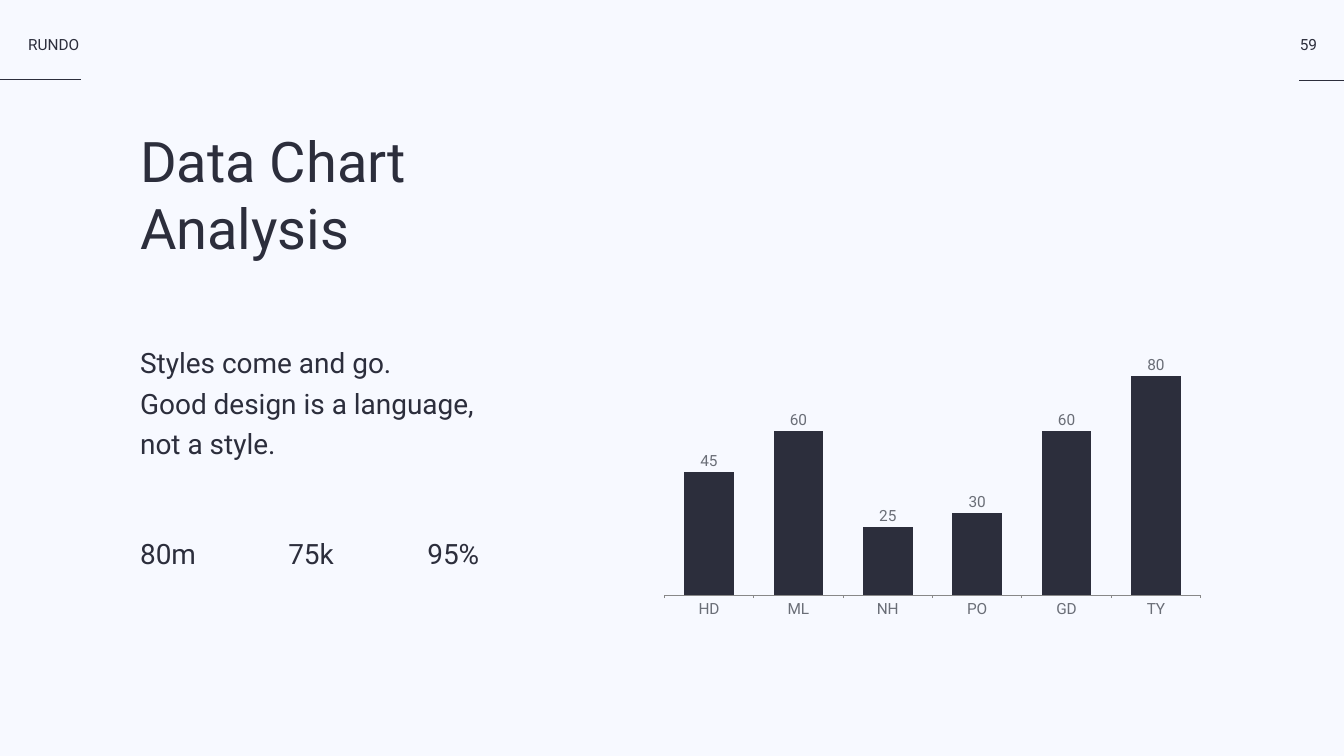
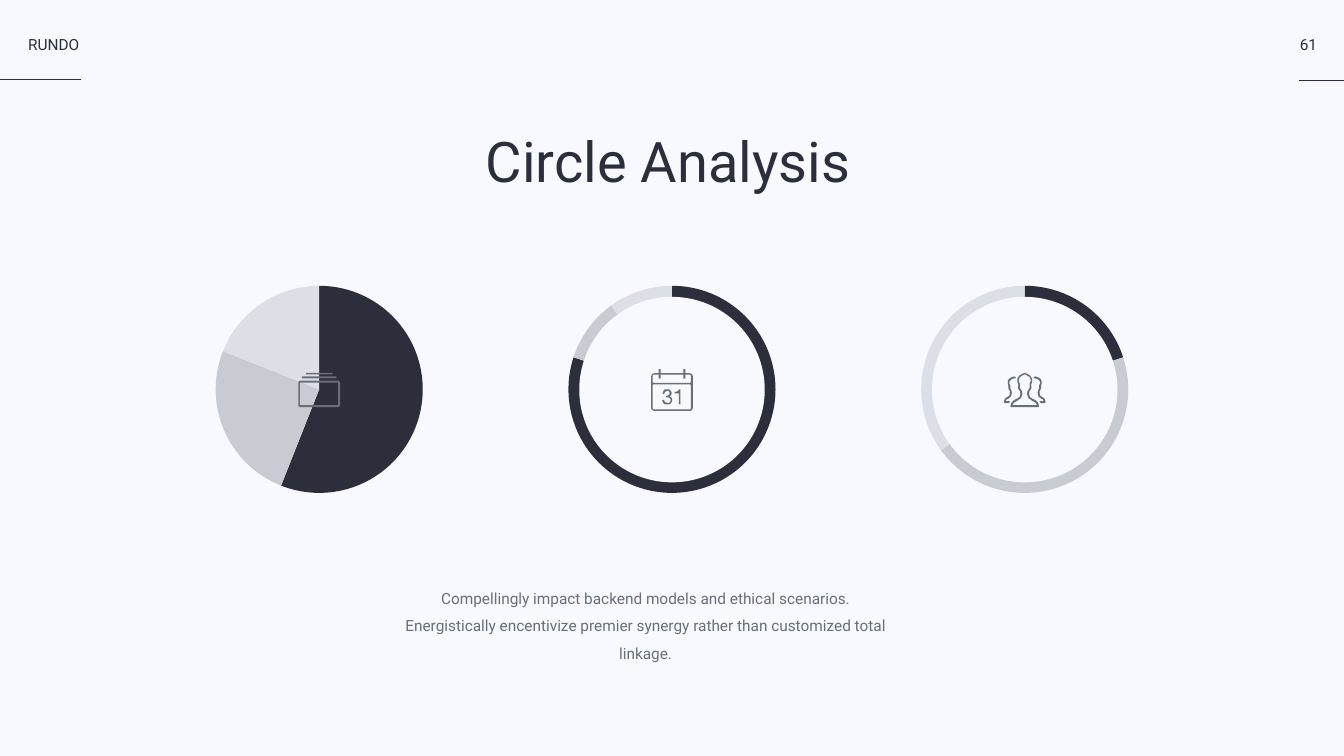
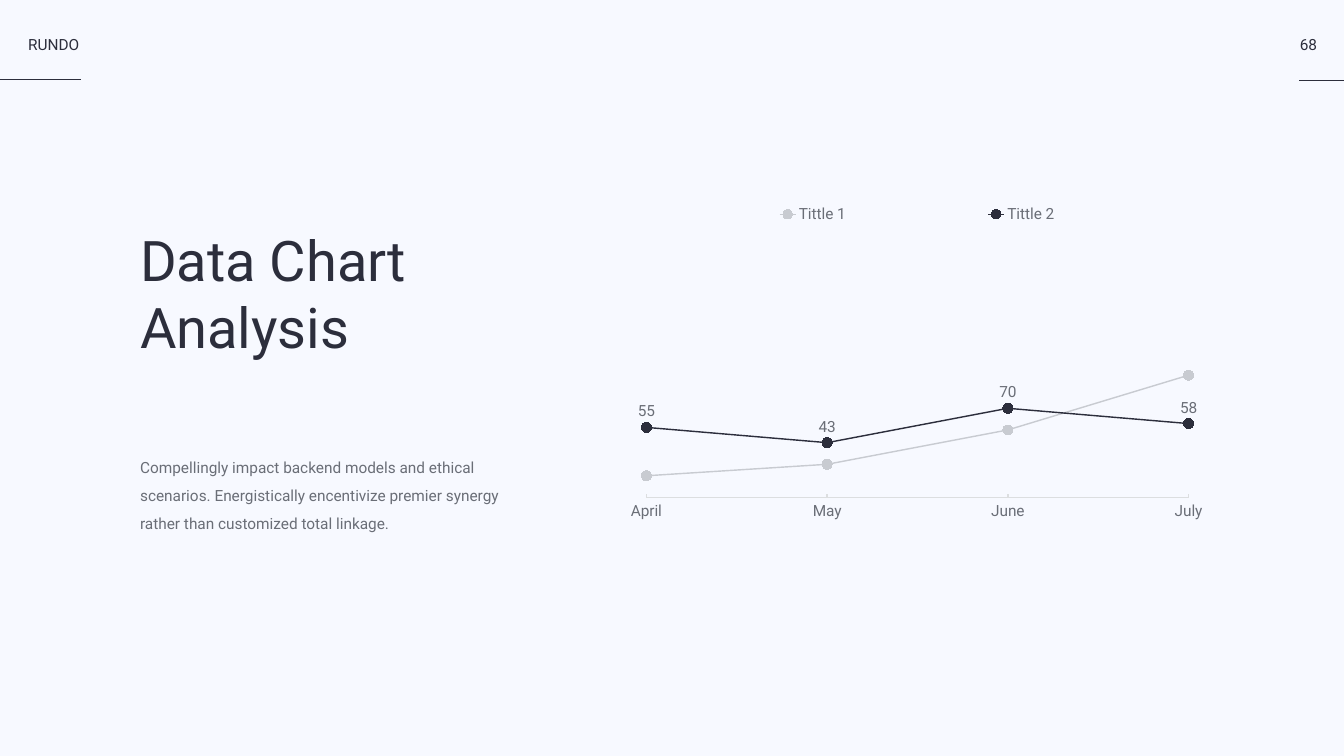
import math
from dataclasses import dataclass
from lxml import etree
from pptx import Presentation
from pptx.chart.data import CategoryChartData
from pptx.dml.color import RGBColor
from pptx.enum.chart import (XL_CHART_TYPE, XL_LABEL_POSITION, XL_LEGEND_POSITION,
                             XL_MARKER_STYLE, XL_TICK_LABEL_POSITION, XL_TICK_MARK)
from pptx.enum.shapes import MSO_CONNECTOR, MSO_SHAPE
from pptx.enum.text import MSO_ANCHOR, MSO_AUTO_SIZE, PP_ALIGN
from pptx.oxml.ns import qn
from pptx.util import Inches, Pt

BAR, LINE, PIE = (XL_CHART_TYPE.COLUMN_CLUSTERED, XL_CHART_TYPE.LINE_MARKERS,
                  XL_CHART_TYPE.PIE)
LEFT, MID = PP_ALIGN.LEFT, PP_ALIGN.CENTER
LOW, BARE = XL_TICK_LABEL_POSITION.LOW, XL_TICK_LABEL_POSITION.NONE
TICK = XL_TICK_MARK
ABOVE, OUTER = XL_LABEL_POSITION.ABOVE, XL_LABEL_POSITION.OUTSIDE_END


@dataclass(frozen=True)
class Theme:
    back: str = "F7F9FF"
    dark: str = "2C2E3C"
    text: str = "6A6E77"
    mid: str = "C8CBD1"
    pale: str = "DCE0E6"
    rule: str = "DCDEE0"
    axis: str = "888888"
    font: str = "Roboto"
    title: int = 80
    lead: int = 40
    small: int = 22
    stroke: int = 2


T = Theme()

# Slide size and shared grid, in inches
WIDE, HIGH = 26.67, 15
EDGE, HEAD = 2.78, 2.51
PAGE_X, LABEL_Y = 25.78, 0.69

BRAND = "RUNDO"
RULES = [(0, 1.61, 1.58), (PAGE_X, WIDE, 1.6)]

BARS = {
    "page": "59",
    "title": ["Data Chart", "Analysis"],
    "body": ["Styles come and go.", "Good design is a language,", "not a style."],
    "stats": [("80m", 1.13), ("75k", 0.95), ("95%", 1.06)],
    "cats": ["HD", "ML", "NH", "PO", "GD", "TY"],
    "series": [("Series 1", [45, 60, 25, 30, 60, 80])],
}
RINGS = {
    "page": "61",
    "title": ["Circle Analysis"],
    "body": ["Compellingly impact backend models and ethical scenarios.",
             "Energistically encentivize premier synergy rather than "
             "customized total linkage."],
    "pies": [([56, 25, 19], "cards", False), ([80, 10, 10], "date", True),
             ([20, 45, 35], "team", True)],
}
TREND = {
    "page": "68",
    "title": ["Data Chart", "Analysis"],
    "body": ["Compellingly impact backend models and ethical",
             "scenarios. Energistically encentivize premier synergy",
             "rather than customized total linkage."],
    "cats": ["April", "May", "June", "July"],
    "series": [("Tittle 1", [17, 26, 53, 96]), ("Tittle 2", [55, 43, 70, 58])],
}


def box(x, y, w, h, r=0.5):
    """Outline of a rectangle with rounded corners."""
    hubs = [(x + w - r, y + h - r), (x + r, y + h - r), (x + r, y + r), (x + w - r, y + r)]
    return [(cx + r * math.cos(a), cy + r * math.sin(a))
            for turn, (cx, cy) in enumerate(hubs)
            for a in (math.radians(90 * turn + step) for step in (0, 30, 60, 90))]


def flip(points):
    return [(ICON_W - x, y) for x, y in reversed(points)]


# Icon outlines, in hundredths of an inch
ICON_W = 83
THREE = [(37, 66), (35, 67), (32, 67), (27, 65), (26, 61), (22, 61), (23, 65), (25, 68),
         (28, 70), (32, 70), (36, 70), (39, 68), (41, 65), (42, 61), (41, 57), (37, 54),
         (40, 51), (41, 48), (40, 44), (38, 42), (36, 40), (32, 40), (28, 40), (25, 42),
         (24, 45), (23, 49), (26, 49), (27, 46), (29, 44), (32, 43), (36, 44), (37, 48),
         (36, 51), (34, 52), (30, 53), (30, 56), (35, 56), (37, 57), (39, 61), (38, 64)]
ONE = [(55, 70), (58, 70), (58, 40), (56, 40), (54, 42), (52, 44), (50, 45), (47, 45),
       (47, 48), (55, 48)]
HALF_OUT = [(41, 0), (36, 2), (31, 5), (27, 11), (27, 18), (29, 24), (28, 29), (29, 32),
            (32, 36), (33, 42), (31, 48), (26, 51), (20, 54), (15, 59), (13, 66), (15, 68)]
HALF_IN = [(41, 3), (37, 5), (32, 8), (30, 12), (30, 17), (32, 22), (32, 30), (36, 36),
           (37, 42), (34, 50), (27, 55), (20, 59), (17, 64)]
SIDE = [(9, 51), (14, 47), (16, 40), (15, 34), (13, 31), (13, 25), (11, 21), (11, 17),
        (16, 12), (20, 11), (23, 11), (24, 8), (20, 7), (14, 9), (10, 12), (8, 16),
        (8, 21), (9, 26), (9, 31), (12, 36), (12, 40), (11, 45), (8, 47), (2, 51),
        (0, 58), (2, 60), (10, 60), (12, 56), (4, 56), (5, 53)]
ICONS = {
    "cards": (68, [box(0, 15, 83, 53, 4), box(3, 19, 76, 45), box(7, 7, 69, 4, 2),
                   box(15, 0, 53, 3, 1.5)]),
    "date": (83, [box(0, 8, 83, 75, 7), box(3, 11, 76, 16, 3), box(3, 30, 76, 50, 3),
                  *(box(x, y, 4, 8, 1) for x in (15, 64) for y in (0, 11)), THREE, ONE]),
    "team": (68, [HALF_OUT + flip(HALF_OUT), HALF_IN + flip(HALF_IN), SIDE, flip(SIDE)]),
}


def put(item, values):
    for name, value in values.items():
        setattr(item, name, value)


def rgb(code):
    return RGBColor.from_string(code)


def paint(fill, code):
    fill.solid()
    fill.fore_color.rgb = rgb(code)


def style(font, size, code):
    put(font, {"size": Pt(size), "name": T.font})
    font.color.rgb = rgb(code)


def place(shape, at):
    put(shape, dict(zip(("left", "top", "width", "height"), map(Inches, at))))


def write(shape, lines, size, code, align=LEFT, gap=1.0):
    frame = shape.text_frame
    put(frame, {"margin_left": 0, "margin_top": 0, "margin_right": 0, "margin_bottom": 0,
                "word_wrap": False, "auto_size": MSO_AUTO_SIZE.SHAPE_TO_FIT_TEXT,
                "vertical_anchor": MSO_ANCHOR.TOP})
    for i, line in enumerate(lines):
        para = frame.add_paragraph() if i else frame.paragraphs[0]
        put(para, {"alignment": align, "line_spacing": gap, "space_before": Pt(0)})
        if shape.is_placeholder:
            props = para._p.get_or_add_pPr()
            props.set("marL", "0")
            props.set("indent", "0")
            etree.SubElement(props, qn("a:buNone"))
        run = para.add_run()
        run.text = line
        style(run.font, size, code)


def label(slide, at, line, size, align=LEFT, gap=1.0):
    shape = slide.shapes.add_textbox(*map(Inches, at))
    write(shape, [line], size, T.dark, align, gap)
    return shape


def rule(slide, x1, x2, y):
    line = slide.shapes.add_connector(MSO_CONNECTOR.STRAIGHT,
                                      *map(Inches, (x1, y, x2, y)))
    line.line.color.rgb = rgb(T.dark)
    line.line.width = Pt(T.stroke)
    etree.SubElement(line._element.spPr, qn("a:effectLst"))
    return line


def brand(deck, slide):
    """Give the master its background, rules and brand label."""
    master = deck.slide_master
    paint(master.background.fill, T.back)
    parts = [rule(slide, *ends) for ends in RULES]
    parts.append(label(slide, (0.56, LABEL_Y, 1.05, 0.4), BRAND, T.small))
    for part in parts:
        master.shapes._spTree.append(part._element)


def start(deck, data, title_at, body_at, size, code, align=LEFT, gap=1.5):
    slide = deck.slides.add_slide(deck.slide_layouts[1])
    title, body = slide.placeholders
    place(title, title_at)
    write(title, data["title"], T.title, T.dark, align)
    place(body, body_at)
    write(body, data["body"], size, code, align, gap)
    label(slide, (PAGE_X, LABEL_Y, 0.37, 0.4), data["page"], T.small, MID)
    return slide


def layout(parent, index, shares, inner=False):
    """Fix a plot or legend area as shares of its chart."""
    for old in parent.findall(qn("c:layout")):
        parent.remove(old)
    area = etree.Element(qn("c:layout"))
    spot = etree.SubElement(area, qn("c:manualLayout"))
    tags = [("layoutTarget", "inner")] if inner else []
    tags += [("xMode", "edge"), ("yMode", "edge"), *zip("xywh", map(str, shares))]
    for tag, value in tags:
        etree.SubElement(spot, qn("c:" + tag)).set("val", value)
    parent.insert(index, area)


def add_chart(slide, kind, at, cats, series, plot):
    data = CategoryChartData()
    data.categories = cats
    for name, values in series:
        data.add_series(name, values)
    chart = slide.shapes.add_chart(kind, *map(Inches, at), data).chart
    put(chart, {"has_title": False, "has_legend": False})
    put(chart.font, {"size": Pt(10), "name": "Arial"})
    layout(chart._chartSpace.chart.plotArea, 0, plot, True)
    chart.plots[0].vary_by_categories = kind == PIE
    return chart


def axes(chart, tick, code, width, top, step):
    cat, val = chart.category_axis, chart.value_axis
    put(cat, {"tick_label_position": LOW, "major_tick_mark": tick,
              "minor_tick_mark": TICK.NONE, "has_major_gridlines": False})
    style(cat.tick_labels.font, T.small, T.text)
    cat.format.line.color.rgb = rgb(code)
    cat.format.line.width = Pt(width)
    put(val, {"tick_label_position": BARE, "major_tick_mark": TICK.NONE,
              "minor_tick_mark": TICK.NONE, "has_major_gridlines": False,
              "minimum_scale": 0, "maximum_scale": top, "major_unit": step})
    val.format.line.fill.background()


def tag_values(series, spot, code):
    labels = series.data_labels
    put(labels, {"show_value": True, "position": spot, "number_format": code,
                 "number_format_is_linked": False})
    style(labels.font, T.small, T.text)


def draw_icon(slide, name, x, y):
    """Draw an icon centred on x, y."""
    high, paths = ICONS[name]
    pen = slide.shapes.build_freeform(*paths[0][0], scale=Inches(0.01))
    for i, points in enumerate(paths):
        if i:
            pen.move_to(*points[0])
        pen.add_line_segments(points[1:], close=True)
    shape = pen.convert_to_shape(Inches(x - ICON_W / 200), Inches(y - high / 200))
    flat(shape, T.text)


def flat(shape, code):
    shape.shadow.inherit = False
    paint(shape.fill, code)
    shape.line.fill.background()


def bar_slide(deck):
    slide = start(deck, BARS, (EDGE, HEAD, 5.63, 2.94), (EDGE, 6.73, 6.68, 2.5),
                  T.lead, T.dark, gap=1.2)
    chart = add_chart(slide, BAR, (13.03, 5.96, 10.85, 6.55), BARS["cats"],
                      BARS["series"], (0.014, 0.065, 0.981, 0.828))
    axes(chart, TICK.OUTSIDE, T.axis, 1, 100, 20)
    put(chart.plots[0], {"gap_width": 80, "overlap": -27})
    series = chart.series[0]
    paint(series.format.fill, T.dark)
    tag_values(series, OUTER, "0")
    x, gap = EDGE, 1.81
    for stat, width in BARS["stats"]:
        label(slide, (x, 10.51, width, 0.74), stat, T.lead, gap=1.2)
        x += width + gap
    return slide


def ring_slide(deck):
    slide = start(deck, RINGS, (9.57, HEAD, 7.38, 1.47), (7.52, 11.5, 10.58, 1.01),
                  T.small, T.text, MID)
    size, hole, step, y = 4.16, 3.68, 7, 7.73
    for i, (values, icon, ring) in enumerate(RINGS["pies"]):
        x = WIDE / 2 + (i - 1) * step
        chart = add_chart(slide, PIE, (x - size / 2, y - size / 2, size, size),
                          ["1", "2", "3"], [("Series 1", values)],
                          (0.005, 0.005, 0.99, 0.988))
        for j, code in enumerate((T.dark, T.mid, T.pale)):
            part = chart.series[0].points[j].format
            paint(part.fill, code)
            part.line.fill.background()
        if ring:
            flat(slide.shapes.add_shape(MSO_SHAPE.OVAL, *map(
                Inches, (x - hole / 2, y - hole / 2, hole, hole))), T.back)
        draw_icon(slide, icon, x, y + 0.01)


def trend_slide(deck):
    slide = start(deck, TREND, (EDGE, 4.48, 5.63, 2.94), (EDGE, 8.91, 7.14, 1.61),
                  T.small, T.text)
    chart = add_chart(slide, LINE, (12.52, 3.97, 11.35, 6.63), TREND["cats"],
                      TREND["series"], (0.027, 0.128, 0.948, 0.762))
    axes(chart, TICK.INSIDE, T.rule, T.stroke, 200, 100)
    val = chart.value_axis._element
    for old in val.findall(qn("c:crossBetween")):
        val.remove(old)
    cross = etree.Element(qn("c:crossBetween"), val="midCat")
    val.find(qn("c:crosses")).addnext(cross)
    for series, code in zip(chart.series, (T.mid, T.dark)):
        series.smooth = False
        series.format.line.color.rgb = rgb(code)
        series.format.line.width = Pt(T.stroke)
        put(series.marker, {"style": XL_MARKER_STYLE.CIRCLE, "size": 14})
        paint(series.marker.format.fill, code)
        series.marker.format.line.fill.background()
    tag_values(chart.series[1], ABOVE, "General")
    chart.has_legend = True
    put(chart.legend, {"position": XL_LEGEND_POSITION.TOP, "include_in_layout": True})
    style(chart.legend.font, T.small, T.text)
    layout(chart.legend._element, 1, (0.02, 0, 0.96, 0.085))


def main():
    deck = Presentation()
    put(deck, {"slide_width": Inches(WIDE), "slide_height": Inches(HIGH)})
    brand(deck, bar_slide(deck))
    ring_slide(deck)
    trend_slide(deck)
    deck.save("out.pptx")


if __name__ == "__main__":
    main()
